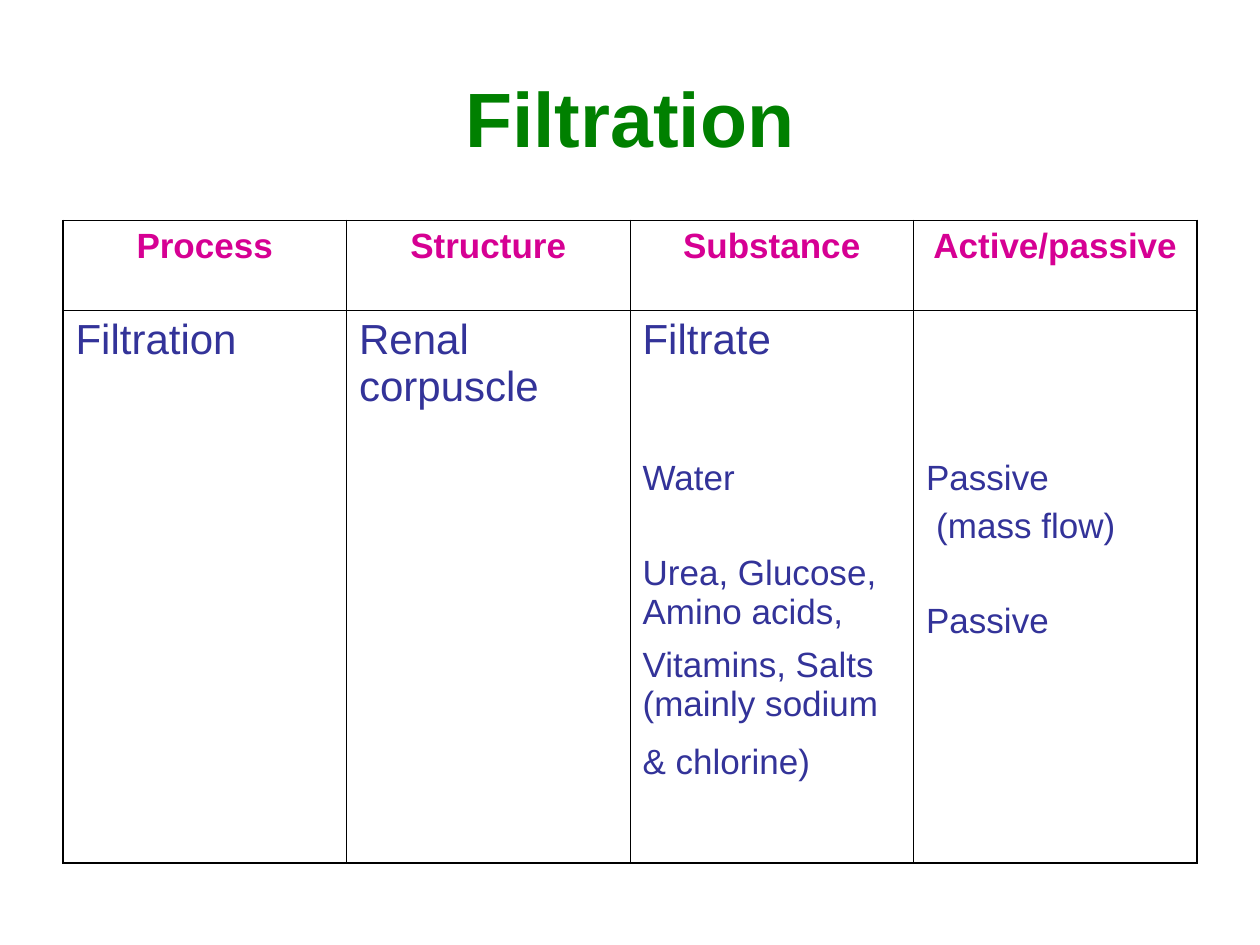
import lxml.etree
import pptx
import pptx.dml.color
import pptx.enum.text
import pptx.oxml.ns
import pptx.util
from pptx.util import Inches

GREEN = pptx.dml.color.RGBColor(0x00, 0x80, 0x00)
MAGENTA = pptx.dml.color.RGBColor(0xD6, 0x00, 0x93)
INDIGO = pptx.dml.color.RGBColor(0x33, 0x33, 0x99)
BLACK = pptx.dml.color.RGBColor(0x00, 0x00, 0x00)
FONT = "Arial"
OUTER_WIDTH, INNER_WIDTH = 1.08, 0.45
COLUMN_WIDTH = 2.25
ROW_HEIGHTS = [0.71, 1.13, 3.26]
HEADINGS = ["Process", "Structure", "Substance", "Active/passive"]
STRUCTURES = ["Filtration", "Renal corpuscle", "Filtrate"]
SUBSTANCES = [
    ("Water", {}),
    ("Urea, Glucose, Amino acids,", {"space_before": 32}),
    ("Vitamins, Salts (mainly sodium", {"space_before": 8}),
    ("& chlorine)", {"space_before": 11}),
]
TRANSPORTS = [
    ("Passive", {}),
    ("(mass flow)", {"space_before": 5, "indent": 0.08}),
    ("Passive", {"space_before": 32}),
]


def write_text(paragraph, text, size=20, color=INDIGO, bold=False,
               centered=False, space_before=0, indent=0):
    """Write one formatted paragraph."""
    alignments = pptx.enum.text.PP_ALIGN
    paragraph.alignment = alignments.CENTER if centered else alignments.LEFT
    paragraph.space_before = pptx.util.Pt(space_before)
    if indent:
        paragraph._p.get_or_add_pPr().set("marL", str(Inches(indent)))
    run = paragraph.add_run()
    run.text = text
    run.font.name = FONT
    run.font.size = pptx.util.Pt(size)
    run.font.bold = bold
    run.font.color.rgb = color


def write_lines(cell, lines):
    """Write several paragraphs into a cell."""
    frame = cell.text_frame
    for index, (text, formatting) in enumerate(lines):
        paragraph = frame.add_paragraph() if index else frame.paragraphs[0]
        write_text(paragraph, text, **formatting)


def set_border(cell, side, width):
    """Draw one cell edge, or hide it when the width is zero."""
    qualify = pptx.oxml.ns.qn
    line = lxml.etree.SubElement(cell._tc.get_or_add_tcPr(), qualify(f"a:ln{side}"))
    line.set("w", str(pptx.util.Pt(width)))
    if width:
        fill = lxml.etree.SubElement(line, qualify("a:solidFill"))
        lxml.etree.SubElement(fill, qualify("a:srgbClr")).set("val", str(BLACK))
    else:
        lxml.etree.SubElement(line, qualify("a:noFill"))


def style_cell(cell, row, column):
    """Give a cell its margins, grid edges and empty fill."""
    cell.margin_left = cell.margin_right = Inches(0.1)
    cell.margin_top = cell.margin_bottom = Inches(0.05)
    last_row, last_column = len(ROW_HEIGHTS) - 1, len(HEADINGS) - 1
    set_border(cell, "L", OUTER_WIDTH if column == 0 else INNER_WIDTH)
    set_border(cell, "R", OUTER_WIDTH if column == last_column else INNER_WIDTH)
    set_border(cell, "T", [OUTER_WIDTH, INNER_WIDTH, 0][row])
    set_border(cell, "B", [INNER_WIDTH, 0, OUTER_WIDTH][min(row, last_row)])
    cell.fill.background()


def add_title(slide, text):
    """Add the centred slide title."""
    box = slide.shapes.add_textbox(Inches(0.5), Inches(0.3), Inches(9), Inches(1.25))
    box.text_frame.word_wrap = True
    box.text_frame.vertical_anchor = pptx.enum.text.MSO_ANCHOR.MIDDLE
    write_text(box.text_frame.paragraphs[0], text, size=44, color=GREEN,
               bold=True, centered=True)


def add_process_table(slide):
    """Add the table of process, structure, substance and transport."""
    column_count = len(HEADINGS)
    table = slide.shapes.add_table(
        len(ROW_HEIGHTS), column_count, Inches(0.5), Inches(1.75),
        Inches(COLUMN_WIDTH * column_count), Inches(sum(ROW_HEIGHTS))).table
    table.first_row = table.horz_banding = False
    for column in table.columns:
        column.width = Inches(COLUMN_WIDTH)
    for row_index, height in enumerate(ROW_HEIGHTS):
        table.rows[row_index].height = Inches(height)
        for column_index in range(column_count):
            style_cell(table.cell(row_index, column_index), row_index, column_index)
    for index, text in enumerate(HEADINGS):
        write_lines(table.cell(0, index),
                    [(text, {"color": MAGENTA, "bold": True, "centered": True})])
    for index, text in enumerate(STRUCTURES):
        write_lines(table.cell(1, index), [(text, {"size": 24})])
    write_lines(table.cell(2, 2), SUBSTANCES)
    write_lines(table.cell(2, 3), TRANSPORTS)


def main():
    """Build and save the slide."""
    presentation = pptx.Presentation()
    presentation.slide_width = Inches(10)
    presentation.slide_height = Inches(7.5)
    slide = presentation.slides.add_slide(presentation.slide_layouts[6])
    add_title(slide, "Filtration")
    add_process_table(slide)
    presentation.save("out.pptx")


if __name__ == "__main__":
    main()
